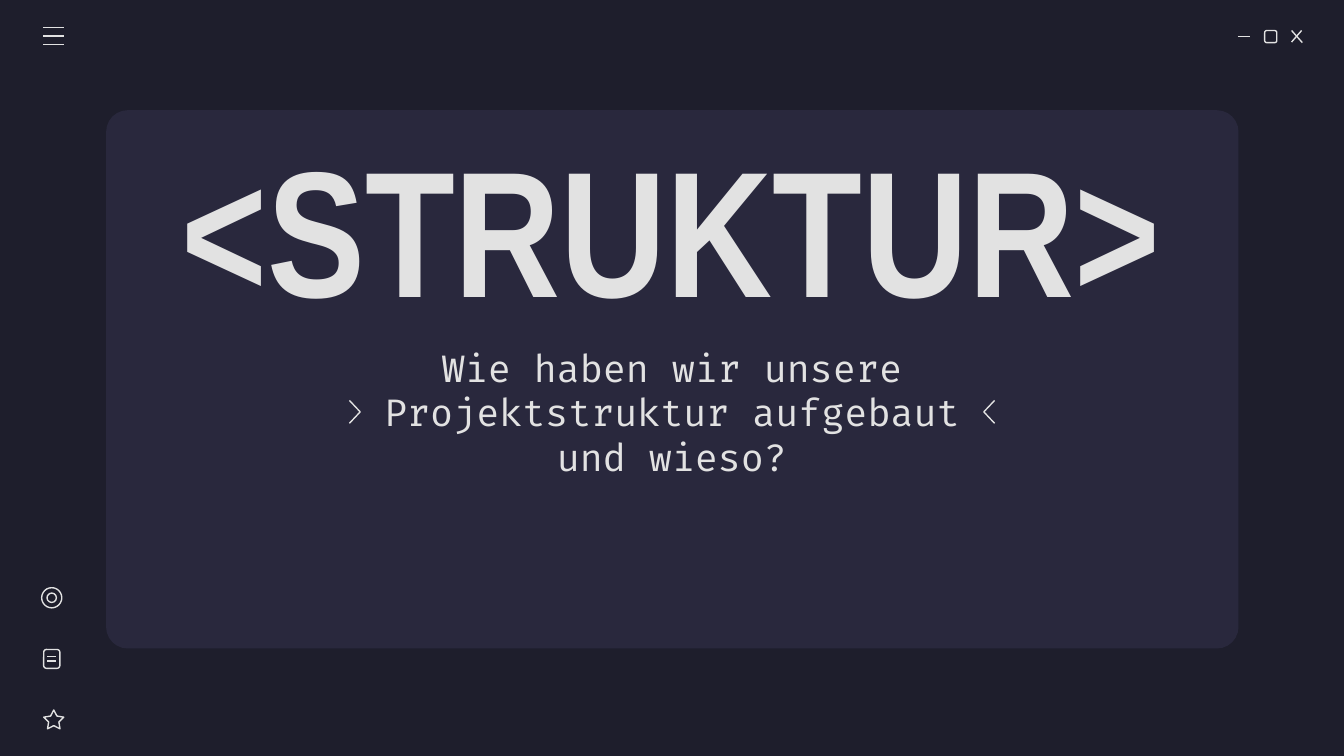
from lxml.etree import SubElement
from pptx import Presentation
from pptx.dml.color import RGBColor
from pptx.enum.shapes import MSO_CONNECTOR, MSO_SHAPE
from pptx.enum.text import MSO_ANCHOR, MSO_AUTO_SIZE, PP_ALIGN
from pptx.oxml.ns import qn
from pptx.util import Inches, Pt

NIGHT = RGBColor(0x1E, 0x1E, 0x2C)
PANEL = RGBColor(0x29, 0x28, 0x3D)
LIGHT = RGBColor(0xE2, 0xE2, 0xE2)

presentation = Presentation()
presentation.slide_width = Inches(10)
presentation.slide_height = presentation.slide_width * 9 // 16
CELL = presentation.slide_width / 100  # square grid, 100 columns wide


def grid(*cells):
    """Turn grid positions into slide lengths."""
    return [round(cell * CELL) for cell in cells]


def outline(shape):
    """Give a shape or connector the thin light line and no shadow."""
    shape.line.color.rgb = LIGHT
    shape.line.width = Pt(0.75)
    if hasattr(shape, "fill"):
        shape.fill.background()
        shape.shadow.inherit = False
    else:
        SubElement(shape._element.spPr, qn("a:effectLst"))


slide = presentation.slides.add_slide(presentation.slide_layouts[5])
slide.background.fill.solid()
slide.background.fill.fore_color.rgb = NIGHT
shapes = slide.shapes
title = shapes.title

panel = shapes.add_shape(MSO_SHAPE.ROUNDED_RECTANGLE, *grid(7.9, 8.2, 84.25, 40.05))
panel.adjustments[0] = 0.04
panel.fill.solid()
panel.fill.fore_color.rgb = PANEL
panel.line.fill.background()
panel.shadow.inherit = False
panel._element.addnext(title._element)  # the title lies on the panel

# Icons: window buttons at top right, sidebar at bottom left
icons = [
    (MSO_SHAPE.ROUNDED_RECTANGLE, (94.1, 2.27, 0.9, 0.9), [0.167]),  # maximise
    (MSO_SHAPE.STAR_5_POINT, (3.25, 52.83, 1.5, 1.4), [0.254, 1.051, 1.106]),
    (MSO_SHAPE.ROUNDED_RECTANGLE, (3.25, 48.33, 1.2, 1.4), [0.167]),  # note
    (MSO_SHAPE.OVAL, (3.1, 43.73, 1.5, 1.5), []),
    (MSO_SHAPE.OVAL, (3.5, 44.13, 0.7, 0.7), []),
]
for kind, box, adjustments in icons:
    icon = shapes.add_shape(kind, *grid(*box))
    for index, value in enumerate(adjustments):
        icon.adjustments[index] = value
    outline(icon)

minimise = [(92.1, 2.7, 93, 2.7)]
close = [(96.1, 2.27, 96.9, 3.17), (96.85, 2.27, 96.1, 3.13)]
menu = [(3.23, row, 4.73, row) for row in (2.05, 2.69, 3.33)]
note_lines = [(3.5, row, 4.2, row) for row in (48.83, 49.18)]
for ends in minimise + close + menu + note_lines:
    outline(shapes.add_connector(MSO_CONNECTOR.STRAIGHT, *grid(*ends)))

# Chevrons point inwards at the subtitle
for outer, tip in ((26, 26.8), (74, 73.2)):
    builder = shapes.build_freeform(*grid(outer, 29.8))
    builder.add_line_segments([grid(tip, 30.65), grid(outer, 31.5)], close=False)
    outline(builder.convert_to_shape())

subtitle = shapes.add_textbox(*grid(26.8, 25.8, 46.4, 9.7))
title.left, title.top, title.width, title.height = grid(11.4, 9.7, 77.1, 14.2)

frame_format = {
    "word_wrap": True,
    "auto_size": MSO_AUTO_SIZE.NONE,
    "vertical_anchor": MSO_ANCHOR.MIDDLE,
    **{f"margin_{side}": Inches(0.1) for side in ("left", "top", "right", "bottom")},
}
texts = [
    (title, "<STRUKTUR>", {"name": "Arial Narrow", "size": Pt(96), "bold": True}),
    (subtitle, "Wie haben wir unsere Projektstruktur aufgebaut und wieso?",
     {"name": "Fira Code", "size": Pt(20)}),
]
for shape, words, font_format in texts:
    for name, value in frame_format.items():
        setattr(shape.text_frame, name, value)
    paragraph = shape.text_frame.paragraphs[0]
    paragraph.alignment = PP_ALIGN.CENTER
    run = paragraph.add_run()
    run.text = words
    for name, value in font_format.items():
        setattr(run.font, name, value)
    run.font.color.rgb = LIGHT

presentation.save("out.pptx")
